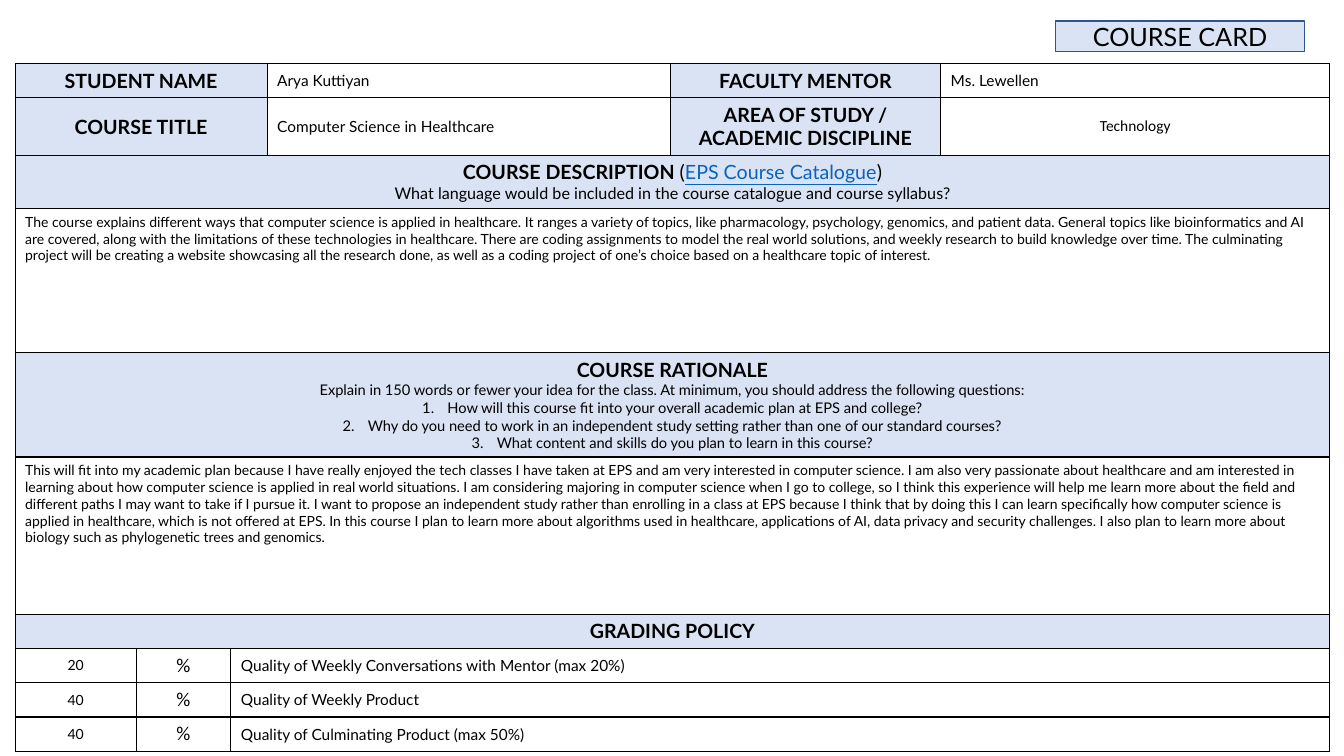
from lxml.etree import SubElement
from pptx import Presentation
from pptx.dml.color import RGBColor as Color
from pptx.enum.shapes import MSO_SHAPE as Preset
from pptx.enum.text import MSO_ANCHOR as Anchor, PP_ALIGN as Align
from pptx.oxml.ns import qn
from pptx.util import Inches, Pt

COLORS = {"ink": "000000", "label": "DAE3F3", "outline": "325491",
          "link": "0563C1"}
WIDTH, HEIGHT = 13.33, 7.5
COLUMNS = [1.2, 0.94, 0.36, 4, 2.68, 3.86]
ROWS = [0.34, 0.57, 0.53, 1.43, 1.03, 1.56, 0.34, 0.34, 0.34, 0.34]
LAST = len(COLUMNS) - 1

DESCRIPTION = [
    "The course explains different ways that computer science is applied in "
    "healthcare.",
    "It ranges a variety of topics, like pharmacology, psychology, genomics, and "
    "patient data.",
    "General topics like bioinformatics and AI are covered, along with the "
    "limitations of these technologies in healthcare.",
    "There are coding assignments to model the real world solutions, and weekly "
    "research to build knowledge over time.",
    "The culminating project will be creating a website showcasing all the research "
    "done, as well as a coding project of one’s choice based on a healthcare topic "
    "of interest."]
RATIONALE = [
    "This will fit into my academic plan because I have really enjoyed the tech "
    "classes I have taken at EPS and am very interested in computer science.",
    "I am also very passionate about healthcare and am interested in learning about "
    "how computer science is applied in real world situations.",
    "I am considering majoring in computer science when I go to college, so I think "
    "this experience will help me learn more about the field and different paths I "
    "may want to take if I pursue it.",
    "I want to propose an independent study rather than enrolling in a class at EPS "
    "because I think that by doing this I can learn specifically how computer "
    "science is applied in healthcare, which is not offered at EPS.",
    "In this course I plan to learn more about algorithms used in healthcare, "
    "applications of AI, data privacy and security challenges.",
    "I also plan to learn more about biology such as phylogenetic trees and genomics."]
QUESTIONS = [
    "How will this course fit into your overall academic plan at EPS and college?",
    "Why do you need to work in an independent study setting rather than one of "
    "our standard courses?",
    "What content and skills do you plan to learn in this course?"]
GRADES = [("20", "Quality of Weekly Conversations with Mentor (max 20%)"),
          ("40", "Quality of Weekly Product"),
          ("40", "Quality of Culminating Product (max 50%)")]


def style_span(span, size, bold=False, font="Lato", color="ink"):
    span.font.size = Pt(size)
    span.font.bold = bold
    span.font.name = font
    span.font.color.rgb = Color.from_string(COLORS[color])


def write(para, text, size, align=Align.CENTER, **style):
    para.text = text
    para.alignment = align
    for span in para.runs:
        style_span(span, size, **style)


def add_line(cell, text, size):
    para = cell.text_frame.add_paragraph()
    write(para, text, size)
    return para


def number(para):
    props = para._p.get_or_add_pPr()
    props.set("marL", str(Inches(0.25)))
    props.set("indent", str(-Inches(0.25)))
    SubElement(props, qn("a:buFont"), typeface="+mj-lt")
    SubElement(props, qn("a:buAutoNum"), type="arabicPeriod")


def rule_cell(cell):
    props = cell._tc.get_or_add_tcPr()
    for side in ("L", "R", "T", "B"):
        line = SubElement(props, qn(f"a:ln{side}"), w=str(Pt(1)))
        fill = SubElement(line, qn("a:solidFill"))
        SubElement(fill, qn("a:srgbClr"), val=COLORS["ink"])
    cell.fill.background()


def fill_cell(table, row, first, last, text, size, anchor=Anchor.MIDDLE, **style):
    cell = table.cell(row, first)
    if last > first:
        cell.merge(table.cell(row, last))
    cell.vertical_anchor = anchor
    write(cell.text_frame.paragraphs[0], text, size, **style)
    return cell


def add_label(table, row, first, last, text):
    cell = fill_cell(table, row, first, last, text, 14, bold=True)
    cell.fill.solid()
    cell.fill.fore_color.rgb = Color.from_string(COLORS["label"])
    return cell


def add_body(table, row, sentences):
    fill_cell(table, row, 0, LAST, " ".join(sentences), 10, Anchor.TOP,
              align=Align.LEFT)


def add_grid(page):
    frame = page.shapes.add_table(len(ROWS), len(COLUMNS), Inches(0.15),
                                  Inches(0.63), Inches(sum(COLUMNS)),
                                  Inches(sum(ROWS)))
    table = frame.table
    table.first_row = table.horz_banding = False
    for column, width in zip(table.columns, COLUMNS):
        column.width = Inches(width)
    for row, height in zip(table.rows, ROWS):
        row.height = Inches(height)
    for cell in table.iter_cells():
        rule_cell(cell)
    return table


def add_title(page, text):
    box = page.shapes.add_shape(
        Preset.RECTANGLE, Inches(WIDTH * 0.7855), Inches(HEIGHT * 0.028),
        Inches(WIDTH * 0.185), Inches(HEIGHT * 0.04))
    box.shadow.inherit = False
    box.fill.solid()
    box.fill.fore_color.rgb = Color.from_string(COLORS["label"])
    box.line.color.rgb = Color.from_string(COLORS["outline"])
    box.line.width = Pt(1)
    box.text_frame.vertical_anchor = Anchor.MIDDLE
    write(box.text_frame.paragraphs[0], text, 18)


def add_student_rows(table):
    add_label(table, 0, 0, 2, "STUDENT NAME")
    fill_cell(table, 0, 3, 3, "Arya Kuttiyan", 11, align=Align.LEFT)
    add_label(table, 0, 4, 4, "FACULTY MENTOR")
    fill_cell(table, 0, 5, 5, "Ms. Lewellen", 11, align=Align.LEFT)
    add_label(table, 1, 0, 2, "COURSE TITLE")
    fill_cell(table, 1, 3, 3, "Computer Science in Healthcare", 11, align=Align.LEFT)
    add_label(table, 1, 4, 4, "AREA OF STUDY / ACADEMIC DISCIPLINE")
    fill_cell(table, 1, 5, 5, "Technology", 11, font="Calibri")


def add_course_rows(table):
    heading = add_label(table, 2, 0, LAST, "COURSE DESCRIPTION ")
    for text, color in (("(", "ink"), ("EPS Course Catalogue", "link"), (")", "ink")):
        span = heading.text_frame.paragraphs[0].add_run()
        span.text = text
        style_span(span, 14, color=color)
        span.font.underline = color == "link"
    add_line(heading, "What language would be included in the course catalogue "
                      "and course syllabus?", 11.5)
    add_body(table, 3, DESCRIPTION)

    heading = add_label(table, 4, 0, LAST, "COURSE RATIONALE")
    add_line(heading, "Explain in 150 words or fewer your idea for the class. At "
                      "minimum, you should address the following questions:", 10.5)
    for question in QUESTIONS:
        number(add_line(heading, question, 10.5))
    add_body(table, 5, RATIONALE)


def add_grading_rows(table):
    add_label(table, 6, 0, LAST, "GRADING POLICY")
    for row, (share, criterion) in enumerate(GRADES, start=7):
        fill_cell(table, row, 0, 0, share, 10)
        fill_cell(table, row, 1, 1, "%", 14, font="Calibri")
        fill_cell(table, row, 2, LAST, criterion, 11, align=Align.LEFT)


def main():
    deck = Presentation()
    deck.slide_width, deck.slide_height = Inches(WIDTH), Inches(HEIGHT)
    page = deck.slides.add_slide(deck.slide_layouts[6])
    table = add_grid(page)
    add_student_rows(table)
    add_course_rows(table)
    add_grading_rows(table)
    add_title(page, "COURSE CARD")
    deck.save("out.pptx")


if __name__ == "__main__":
    main()
